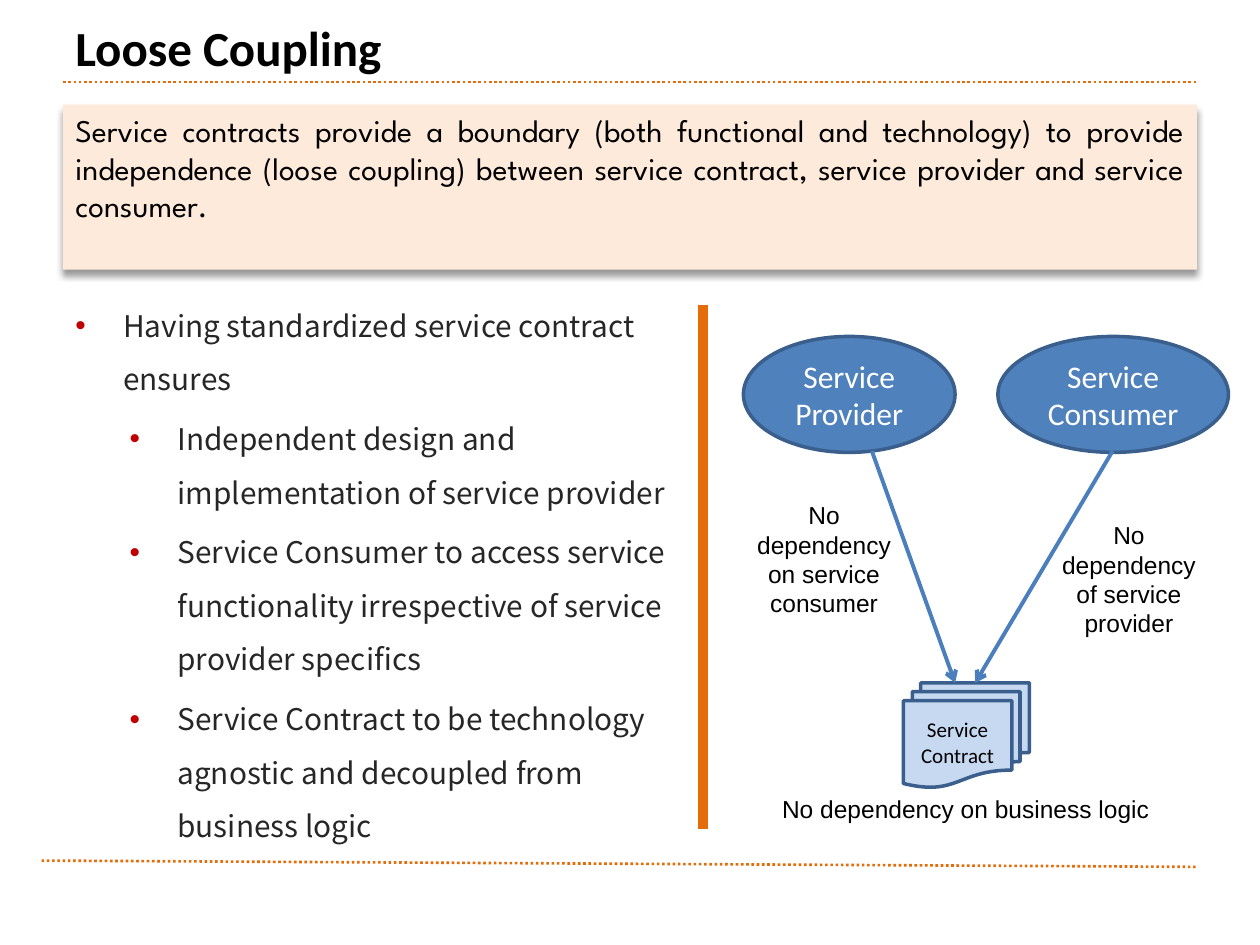
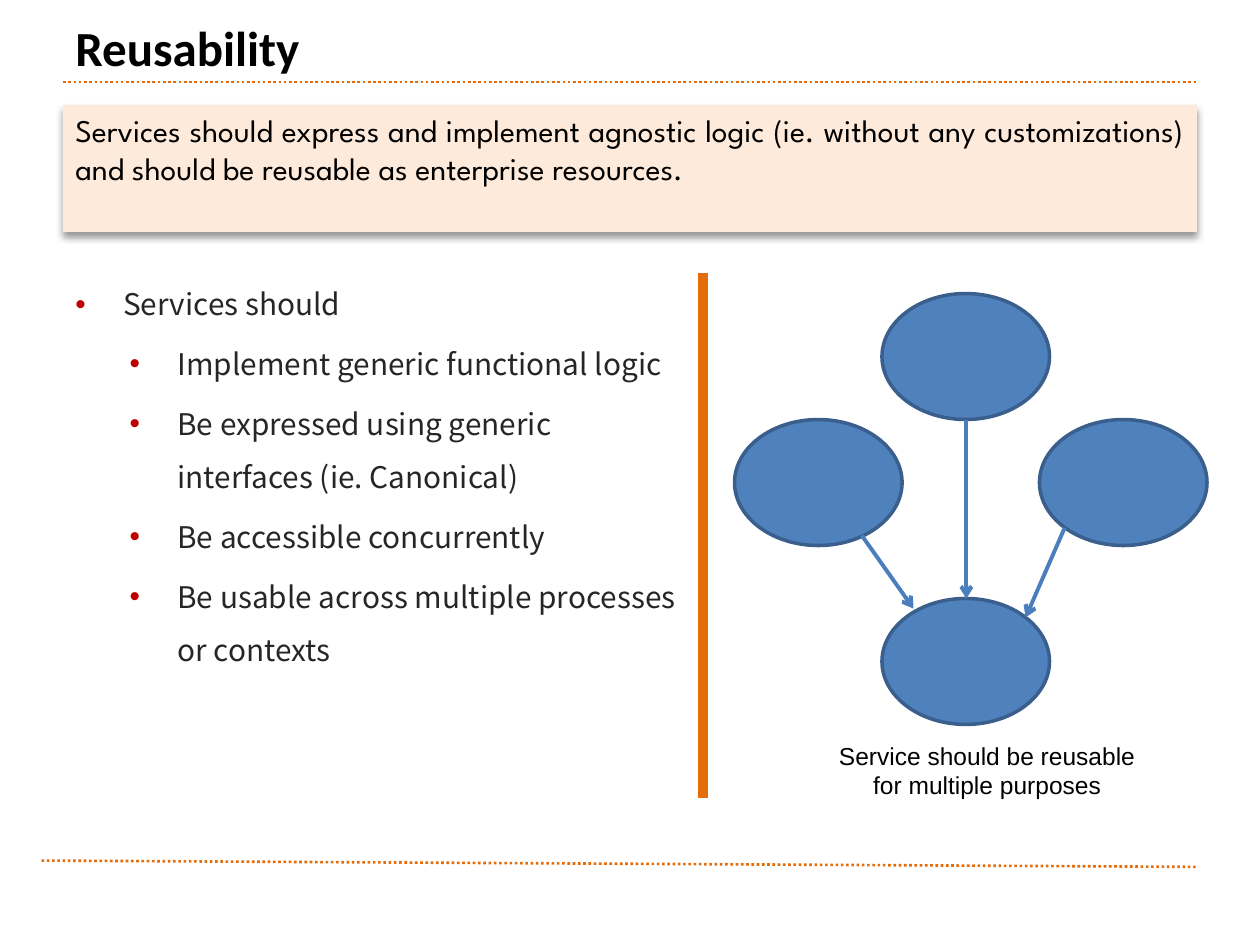
from lxml.etree import SubElement
from pptx import Presentation
from pptx.dml.color import RGBColor
from pptx.enum.dml import MSO_LINE_DASH_STYLE as Dash
from pptx.enum.shapes import MSO_CONNECTOR, MSO_SHAPE
from pptx.enum.text import MSO_ANCHOR as Anchor, PP_ALIGN as Align
from pptx.oxml.ns import qn
from pptx.util import Inches, Pt

COLORS = {
    "accent": "E46C0A",
    "callout": "FDEADA",
    "document": "C6D9F1",
    "node": "4F81BD",
    "outline": "3A5F8C",
    "arrow": "4B7EBC",
    "bullet": "C00000",
    "body": "262626",
    "black": "000000",
    "white": "FFFFFF",
}
HEADING_FONT = "Calibri"
CALLOUT_FONT = "League Spartan"
BODY_FONT = "Noto Sans CJK KR"
LABEL_FONT = "Arial"
DIVIDER_X, DIVIDER_HEIGHT = 5.58, 4.16
BODY_INDENTS = (0.38, 0.81)
HANGING = 0.38


def color(name):
    return RGBColor.from_string(COLORS[name])


class Deck:
    """Holds the shared style and the slide being drawn."""

    def __init__(self):
        self.presentation = Presentation()
        self.presentation.slide_width = Inches(10)
        self.presentation.slide_height = Inches(7.5)
        self.slide = None

    def new_slide(self, title):
        blank = self.presentation.slide_layouts[6]
        self.slide = self.presentation.slides.add_slide(blank)
        self.line((0.5, 0.65), (9.5, 0.65), "accent", 1.5, dash=Dash.ROUND_DOT)
        self.line((0.33, 6.83), (9.5, 6.88), "accent", 1.5, dash=Dash.ROUND_DOT)
        self.text_box((0.5, 0.06, 9, 0.62), title, HEADING_FONT, 28,
                      align=Align.LEFT, anchor=Anchor.MIDDLE, bold=True)

    def add_text(self, shape, lines, font, size, ink="black", align=Align.CENTER,
                 anchor=Anchor.TOP, bold=False):
        """Fill a shape with one paragraph per line and return the paragraphs."""
        frame = shape.text_frame
        frame.word_wrap = True
        frame.vertical_anchor = anchor
        for index, line in enumerate(lines):
            paragraph = frame.add_paragraph() if index else frame.paragraphs[0]
            paragraph.alignment = align
            run = paragraph.add_run()
            run.text = line
            run.font.name = font
            run.font.size = Pt(size)
            run.font.bold = bold
            run.font.color.rgb = color(ink)
        return frame.paragraphs

    def text_box(self, box, text, font, size, **style):
        shape = self.slide.shapes.add_textbox(*map(Inches, box))
        self.add_text(shape, [text], font, size, **style)

    def label(self, box, text):
        self.text_box(box, text, LABEL_FONT, 14)

    def shape(self, kind, box, fill, outline=None):
        shape = self.slide.shapes.add_shape(kind, *map(Inches, box))
        shape.shadow.inherit = False
        shape.fill.solid()
        shape.fill.fore_color.rgb = color(fill)
        if outline:
            shape.line.color.rgb = color(outline)
            shape.line.width = Pt(2)
        else:
            shape.line.fill.background()
        return shape

    def callout(self, height, text):
        shape = self.shape(MSO_SHAPE.RECTANGLE, (0.5, 0.83, 9, height), "callout")
        effects = shape._element.spPr.find(qn("a:effectLst"))
        shadow = SubElement(effects, qn("a:outerShdw"), blurRad=str(Pt(4)),
                            dist=str(Pt(3)), dir="5400000", rotWithShape="0")
        shade = SubElement(shadow, qn("a:srgbClr"), val=COLORS["black"])
        SubElement(shade, qn("a:alpha"), val="40000")
        self.add_text(shape, [text], CALLOUT_FONT, 18, align=Align.JUSTIFY)

    def node(self, box, text=None):
        shape = self.shape(MSO_SHAPE.OVAL, box, "node", "outline")
        if text:
            self.add_text(shape, [text], HEADING_FONT, 18, "white", anchor=Anchor.MIDDLE)

    def document(self, box, lines):
        shape = self.shape(MSO_SHAPE.FLOWCHART_MULTIDOCUMENT, box, "document", "outline")
        self.add_text(shape, lines, HEADING_FONT, 12, anchor=Anchor.MIDDLE)

    def line(self, start, end, ink, width, dash=None):
        connector = self.slide.shapes.add_connector(
            MSO_CONNECTOR.STRAIGHT, *map(Inches, start + end))
        connector.line.color.rgb = color(ink)
        connector.line.width = Pt(width)
        if dash:
            connector.line.dash_style = dash
        SubElement(connector._element.spPr, qn("a:effectLst"))
        return connector

    def arrow(self, start, end):
        connector = self.line(start, end, "arrow", 2.25)
        SubElement(connector.line._get_or_add_ln(), qn("a:tailEnd"), type="arrow")

    def divider(self, top):
        self.line((DIVIDER_X, top), (DIVIDER_X, top + DIVIDER_HEIGHT), "accent", 6)

    def bullets(self, top, heading, points):
        """Add a first-level heading followed by second-level points."""
        shape = self.slide.shapes.add_textbox(*map(Inches, (0.5, top, 5, 4.33)))
        paragraphs = self.add_text(shape, [heading] + points, BODY_FONT, 17,
                                   "body", Align.LEFT)
        for index, paragraph in enumerate(paragraphs):
            level = min(index, 1)
            paragraph.level = level
            paragraph.line_spacing = Pt(30.6)
            paragraph.space_before = Pt(3.5)
            properties = paragraph._p.get_or_add_pPr()
            properties.set("marL", str(Inches(BODY_INDENTS[level])))
            properties.set("indent", str(-Inches(HANGING)))
            bullet_color = SubElement(properties, qn("a:buClr"))
            SubElement(bullet_color, qn("a:srgbClr"), val=COLORS["bullet"])
            SubElement(properties, qn("a:buFont"), typeface=LABEL_FONT)
            SubElement(properties, qn("a:buChar"), char="•")


def add_loose_coupling(deck):
    deck.new_slide("Loose Coupling")
    deck.bullets(2.25, "Having standardized service contract ensures", [
        "Independent design and implementation of service provider",
        "Service Consumer to access service functionality irrespective of "
        "service provider specifics",
        "Service Contract to be technology agnostic and decoupled from business logic",
    ])
    deck.callout(1.31, "Service contracts provide a boundary (both functional and "
                 "technology) to provide independence (loose coupling) between "
                 "service contract, service provider and service consumer.")
    deck.document((7.17, 5.42, 1, 0.83), ["Service", "Contract"])
    deck.node((5.9, 2.67, 1.68, 0.92), "Service Provider")
    deck.arrow((6.92, 3.58), (7.58, 5.42))
    deck.node((7.92, 2.67, 1.83, 0.92), "Service Consumer")
    deck.arrow((8.83, 3.58), (7.74, 5.42))
    deck.label((6.08, 6.25, 3.17, 0.34), "No dependency on business logic")
    deck.label((5.83, 3.92, 1.42, 1.04), "No dependency on service consumer")
    deck.label((8.25, 4.08, 1.42, 1.04), "No dependency of service provider")
    deck.divider(2.42)


def add_reusability(deck):
    deck.new_slide("Reusability")
    deck.bullets(2.08, "Services should", [
        "Implement generic functional logic",
        "Be expressed using generic interfaces (ie. Canonical)",
        "Be accessible concurrently",
        "Be usable across multiple processes or contexts",
    ])
    deck.callout(1.01, "Services should express and implement agnostic logic (ie. "
                 "without any customizations) and should be reusable as enterprise "
                 "resources.")
    deck.label((6.5, 5.83, 2.67, 0.57), "Service should be reusable for multiple purposes")
    deck.divider(2.17)
    for left, top in ((7, 4.75), (5.83, 3.33), (7, 2.33), (8.25, 3.33)):
        deck.node((left, top, 1.33, 1))
    deck.arrow((7.67, 3.33), (7.67, 4.75))
    deck.arrow((6.84, 4.25), (7.25, 4.83))
    deck.arrow((8.45, 4.19), (8.14, 4.9))


def main():
    deck = Deck()
    add_loose_coupling(deck)
    add_reusability(deck)
    deck.presentation.save("out.pptx")


if __name__ == "__main__":
    main()
